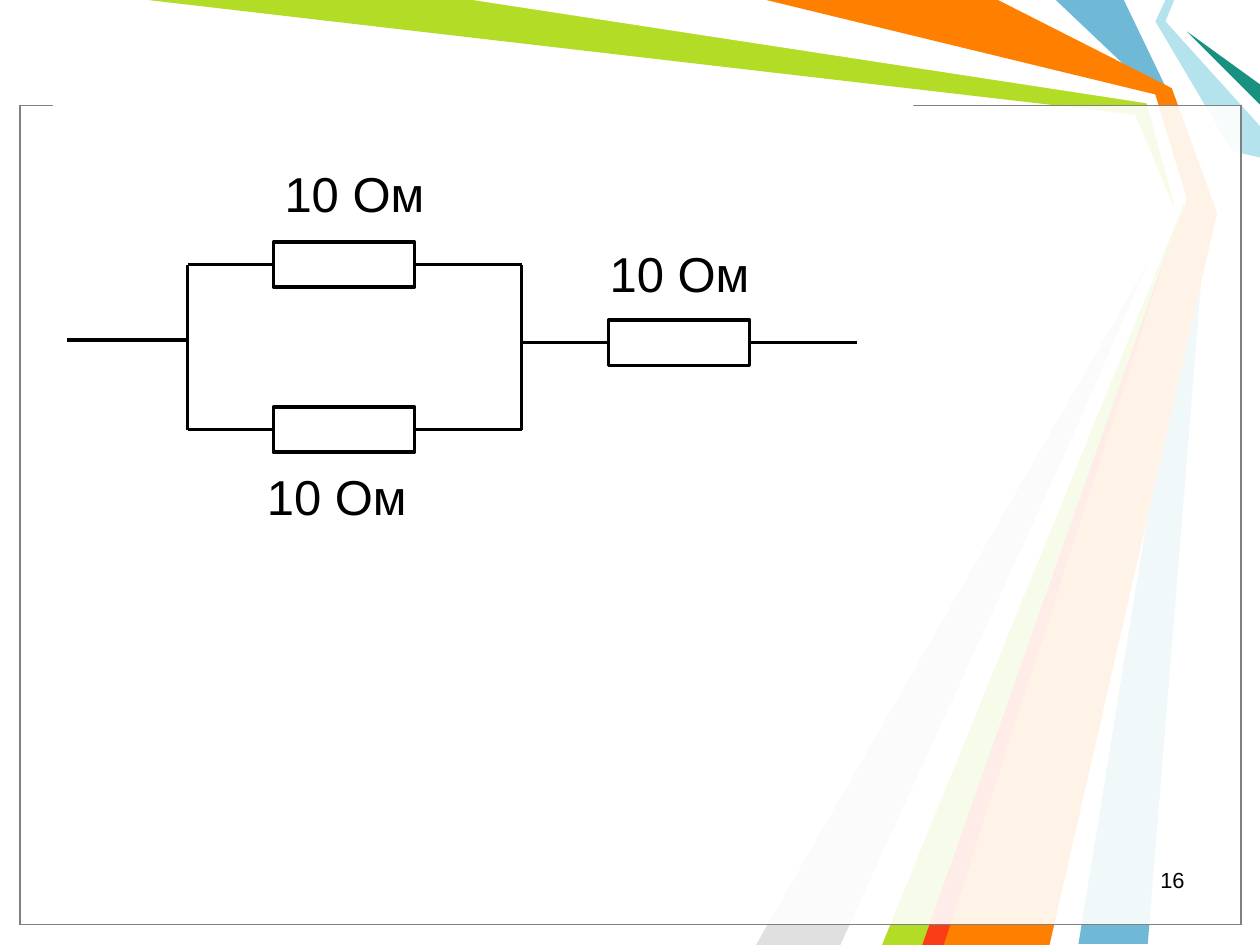
import pptx
import pptx.dml.color
import pptx.enum.shapes
import pptx.enum.text
import pptx.oxml
import pptx.oxml.ns
import pptx.util
from dataclasses import dataclass

PX = 9144  # EMU per px, 100 px to the inch


@dataclass(frozen=True)
class Theme:
    font: str = "Arial"
    label_size: float = 28
    number_size: float = 12.5
    wire_width: float = 2
    frame_width: float = 0.75
    black: str = "000000"
    gray: str = "808080"
    white: str = "FFFFFF"
    blue: str = "6FB9D7"
    lime: str = "B3DC27"
    silver: str = "E0E0E0"
    ice: str = "B4E3EE"
    teal: str = "189180"
    orange: str = "FF7F00"
    red: str = "F93D17"


class Sketch:
    def __init__(self, slide, theme):
        self.shapes = slide.shapes
        self.theme = theme

    def color(self, value):
        return pptx.dml.color.RGBColor.from_string(value)

    def paint(self, shape, fill, line=None, width=0):
        shape.shadow.inherit = False
        shape.fill.solid()
        shape.fill.fore_color.rgb = self.color(fill)
        if line:
            shape.line.color.rgb = self.color(line)
            shape.line.width = pptx.util.Pt(width)
        else:
            shape.line.fill.background()

    def ray(self, fill, *points):
        outline = self.shapes.build_freeform(*points[0], scale=PX)
        outline.add_line_segments(points[1:], close=True)
        self.paint(outline.convert_to_shape(), fill)

    def box(self, left, top, width, height, line=None, line_width=0):
        rect = self.shapes.add_shape(
            pptx.enum.shapes.MSO_SHAPE.RECTANGLE,
            left * PX, top * PX, width * PX, height * PX)
        self.paint(rect, self.theme.white, line, line_width)
        return rect

    def veil(self, left, top, width, height, line, opacity):
        rect = self.box(left, top, width, height, line, self.theme.frame_width)
        fill_color = rect.element.spPr.find(
            "a:solidFill/a:srgbClr", {"a": pptx.oxml.ns.nsuri("a")})
        fill_color.append(pptx.oxml.parse_xml(
            f"<a:alpha {pptx.oxml.ns.nsdecls('a')} val='{opacity * 1000}'/>"))

    def resistor(self, left, top):
        self.box(left, top, 112, 36, self.theme.black, self.theme.wire_width)

    def wire(self, x1, y1, x2, y2):
        line = self.shapes.add_connector(
            pptx.enum.shapes.MSO_CONNECTOR.STRAIGHT,
            x1 * PX, y1 * PX, x2 * PX, y2 * PX)
        line.line.color.rgb = self.color(self.theme.black)
        line.line.width = pptx.util.Pt(self.theme.wire_width)
        line.element.spPr.append(pptx.oxml.parse_xml(
            f"<a:effectLst {pptx.oxml.ns.nsdecls('a')}/>"))

    def text(self, words, left, top, width, height, size):
        box = self.shapes.add_textbox(left * PX, top * PX, width * PX, height * PX)
        box.text_frame.text = words
        paragraph = box.text_frame.paragraphs[0]
        font = paragraph.runs[0].font
        font.name = self.theme.font
        font.size = pptx.util.Pt(size)
        font.color.rgb = self.color(self.theme.black)
        return box.text_frame, paragraph

    def label(self, words, left, top):
        frame, _ = self.text(words, left, top, 131, 57, self.theme.label_size)
        frame.word_wrap = False
        frame.auto_size = pptx.enum.text.MSO_AUTO_SIZE.SHAPE_TO_FIT_TEXT

    def page_number(self, words, left, top, width, height):
        frame, paragraph = self.text(
            words, left, top, width, height, self.theme.number_size)
        frame.word_wrap = True
        paragraph.alignment = pptx.enum.text.PP_ALIGN.RIGHT
        paragraph.line_spacing = 0.8


def draw_background(sketch, theme):
    # Coloured rays, back to front
    sketch.ray(theme.blue, (892, 0), (929, 77), (958, 167), (911, 749),
               (856, 749), (950, 167), (917, 75), (838, 0))
    sketch.ray(theme.lime, (117, 0), (383, 0), (914, 78), (942, 169),
               (742, 750), (692, 750), (935, 173), (901, 91))
    sketch.ray(theme.silver, (667, 750), (927, 181), (600, 750))
    sketch.ray(theme.white, (375, 0), (910, 82), (932, 162), (675, 750),
               (700, 750), (941, 158), (917, 75), (600, 0))
    sketch.ray(theme.ice, (925, 0), (917, 17), (978, 120), (1000, 125),
               (1000, 100), (925, 17), (932, 0))
    sketch.ray(theme.teal, (1000, 83), (942, 25), (1000, 67))
    sketch.ray(theme.orange, (608, 0), (792, 0), (930, 70), (966, 169),
               (833, 750), (733, 750), (942, 158), (917, 75))
    sketch.ray(theme.red, (732, 750), (932, 183), (749, 750))

    # Translucent content frame, with a gap for the title
    for edge in (theme.black, theme.gray):
        sketch.veil(16, 84, 969, 650, edge, opacity=69)
    sketch.box(42, 74, 683, 17)


def draw_circuit(sketch):
    left_node, right_node = 149, 414
    upper, lower, output = 210, 341, 272

    # Parallel branches
    for branch in (upper, lower):
        sketch.wire(left_node, branch, right_node, branch)
        sketch.resistor(217, branch - 18)
    for node in (left_node, right_node):
        sketch.wire(node, lower, node, upper)

    # Series resistor and input lead
    sketch.wire(right_node, output, 680, output)
    sketch.resistor(483, output - 18)
    sketch.wire(53, 270, left_node, 270)

    # Resistances
    for left, top in ((216, 125), (202, 365), (474, 188)):
        sketch.label("10 Ом", left, top)


def main():
    deck = pptx.Presentation()
    deck.slide_width, deck.slide_height = 1000 * PX, 750 * PX
    theme = Theme()
    sketch = Sketch(deck.slides.add_slide(deck.slide_layouts[6]), theme)
    draw_background(sketch, theme)
    sketch.page_number("16", 717, 687, 233, 33)
    draw_circuit(sketch)
    deck.save("out.pptx")


if __name__ == "__main__":
    main()
